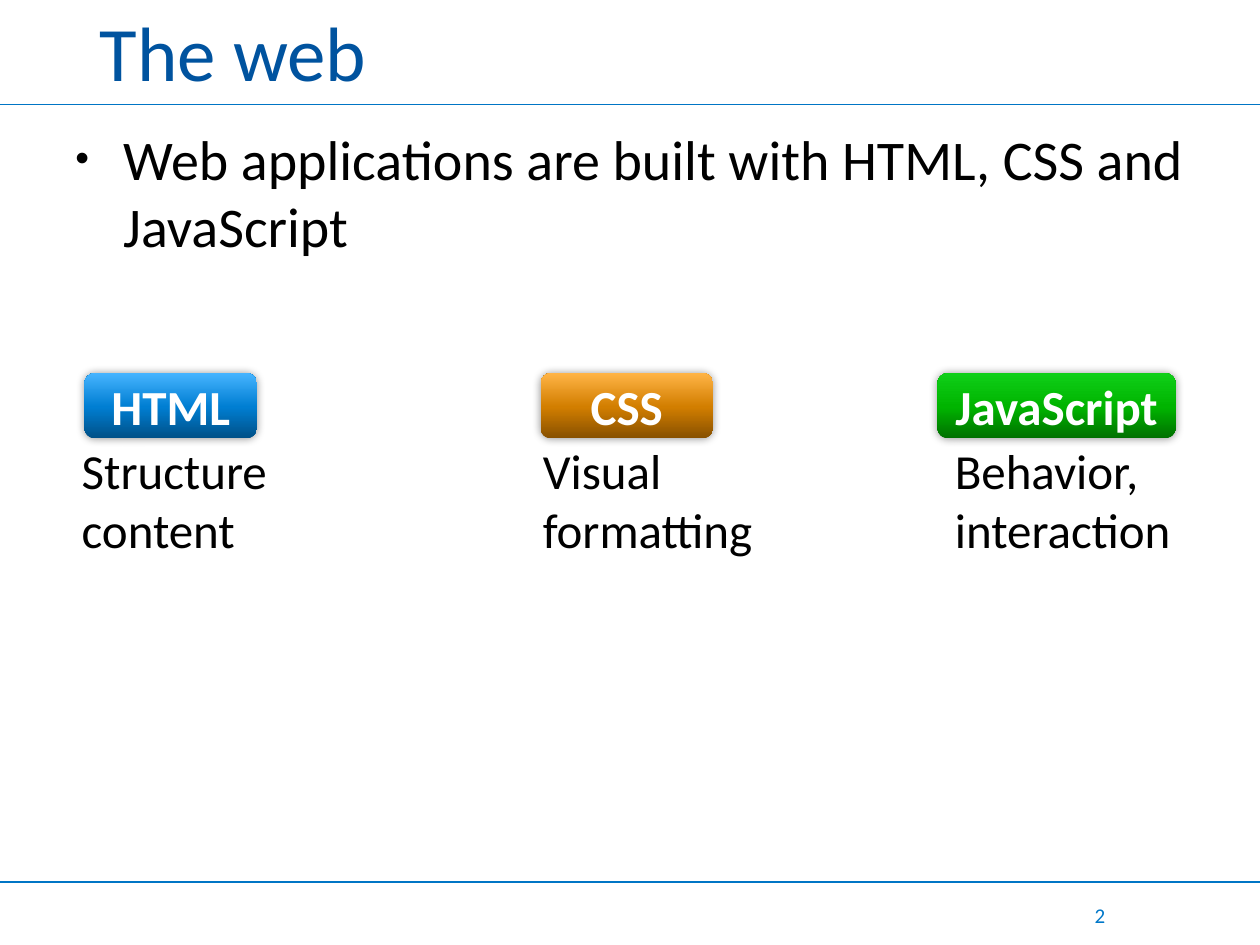
from dataclasses import dataclass

from lxml.etree import SubElement
from pptx import Presentation
from pptx.dml.color import RGBColor
from pptx.enum.shapes import MSO_CONNECTOR, MSO_SHAPE
from pptx.enum.text import MSO_ANCHOR, PP_ALIGN
from pptx.oxml import parse_xml
from pptx.oxml.ns import nsdecls, qn
from pptx.util import Inches, Pt

FONT = "Calibri"
BLACK = RGBColor(0x00, 0x00, 0x00)
WHITE = RGBColor(0xFF, 0xFF, 0xFF)
TITLE_BLUE = RGBColor(0x00, 0x53, 0x9F)
RULE_BLUE = RGBColor(0x00, 0x75, 0xC5)
NUMBER_BLUE = RGBColor(0x00, 0x78, 0xC9)
SLIDE_WIDTH = 10
BADGE_TOP, BADGE_HEIGHT = 2.96, 0.52
LABEL_TOP, LABEL_HEIGHT = 3.45, 1.04
GRADIENT_STOPS = (0, 48, 100)


@dataclass(frozen=True)
class Technology:
    name: str
    role: str
    badge_left: float
    badge_width: float
    label_left: float
    label_width: float
    shades: tuple[RGBColor, RGBColor, RGBColor]


TECHNOLOGIES = (
    Technology("HTML", "Structure\ncontent", 0.67, 1.37, 0.55, 1.78,
               (RGBColor(0x00, 0x50, 0x87), RGBColor(0x00, 0x7E, 0xD2), RGBColor(0x46, 0xB4, 0xFF))),
    Technology("CSS", "Visual\nformatting", 4.29, 1.37, 4.21, 1.89,
               (RGBColor(0x87, 0x50, 0x00), RGBColor(0xD2, 0x7E, 0x00), RGBColor(0xFF, 0xB4, 0x46))),
    Technology("JavaScript", "Behavior,\ninteraction", 7.44, 1.89, 7.48, 1.93,
               (RGBColor(0x00, 0x70, 0x00), RGBColor(0x00, 0xB4, 0x00), RGBColor(0x0F, 0xCF, 0x18))),
)


def write_text(shape, text: str, size: float, color: RGBColor, bold: bool = False,
               align=PP_ALIGN.LEFT, anchor=MSO_ANCHOR.TOP):
    frame = shape.text_frame
    frame.word_wrap = True
    frame.vertical_anchor = anchor
    paragraph = frame.paragraphs[0]
    paragraph.text = text
    paragraph.alignment = align
    for run in paragraph.runs:
        run.font.name = FONT
        run.font.size = Pt(size)
        run.font.bold = bold
        run.font.color.rgb = color
    return frame


def add_text(slide, left: float, top: float, width: float, height: float,
             text: str, size: float, color: RGBColor, **style):
    box = slide.shapes.add_textbox(Inches(left), Inches(top), Inches(width), Inches(height))
    return write_text(box, text, size, color, **style)


def add_rule(slide, top: float) -> None:
    rule = slide.shapes.add_connector(
        MSO_CONNECTOR.STRAIGHT, 0, Inches(top), Inches(SLIDE_WIDTH), Inches(top))
    rule.line.color.rgb = RULE_BLUE
    rule.line.width = Pt(0.75)
    SubElement(rule._element.spPr, qn("a:effectLst"))


def add_bullet(paragraph) -> None:
    properties = paragraph._p.get_or_add_pPr()
    properties.set("marL", str(Inches(0.38)))
    properties.set("indent", str(-Inches(0.38)))
    SubElement(properties, qn("a:buSzPct")).set("val", "70000")
    SubElement(properties, qn("a:buFont")).set("typeface", "Arial")
    SubElement(properties, qn("a:buChar")).set("char", "•")


def add_glow_shadow(shape) -> None:
    """Give the shape a soft shadow with no offset."""
    shape._element.spPr.append(parse_xml(
        f'<a:effectLst {nsdecls("a")}>'
        f'<a:outerShdw blurRad="{Pt(5)}" dist="0" dir="0" algn="ctr" rotWithShape="0">'
        '<a:srgbClr val="000000"><a:alpha val="40000"/></a:srgbClr>'
        '</a:outerShdw></a:effectLst>'))


def fill_upward(shape, shades: tuple[RGBColor, ...]) -> None:
    """Fill with a gradient that runs from the bottom to the top."""
    stops = "".join(f'<a:gs pos="{position * 1000}"><a:srgbClr val="{shade}"/></a:gs>'
                    for position, shade in zip(GRADIENT_STOPS, shades))
    shape._element.spPr.find(qn("a:prstGeom")).addnext(parse_xml(
        f'<a:gradFill {nsdecls("a")} rotWithShape="1"><a:gsLst>{stops}</a:gsLst>'
        '<a:lin ang="16200000" scaled="0"/></a:gradFill>'))


def add_technology(slide, technology: Technology) -> None:
    label = add_text(slide, technology.label_left, LABEL_TOP, technology.label_width,
                     LABEL_HEIGHT, technology.role, 28, BLACK)
    label.margin_right = 0
    badge = slide.shapes.add_shape(
        MSO_SHAPE.ROUNDED_RECTANGLE, Inches(technology.badge_left), Inches(BADGE_TOP),
        Inches(technology.badge_width), Inches(BADGE_HEIGHT))
    badge.line.fill.background()
    fill_upward(badge, technology.shades)
    add_glow_shadow(badge)
    write_text(badge, technology.name, 28, WHITE, bold=True,
               align=PP_ALIGN.CENTER, anchor=MSO_ANCHOR.MIDDLE)


def main() -> None:
    presentation = Presentation()
    presentation.slide_width = Inches(SLIDE_WIDTH)
    presentation.slide_height = Inches(7.5)
    slide = presentation.slides.add_slide(presentation.slide_layouts[6])

    for top in (0.83, 7):
        add_rule(slide, top)
    title = add_text(slide, 0.55, 0.08, 9, 0.64, "The web", 44, TITLE_BLUE,
                     anchor=MSO_ANCHOR.MIDDLE)
    title.margin_left = Inches(0.24)
    body = add_text(slide, 0.5, 0.94, 9, 5.76,
                    "Web applications are built with HTML, CSS and JavaScript", 32, BLACK)
    add_bullet(body.paragraphs[0])
    add_text(slide, 8.2, 7.15, 0.67, 0.23, "2", 12, NUMBER_BLUE,
             align=PP_ALIGN.RIGHT, anchor=MSO_ANCHOR.MIDDLE)
    for technology in TECHNOLOGIES:
        add_technology(slide, technology)

    presentation.save("out.pptx")


if __name__ == "__main__":
    main()
